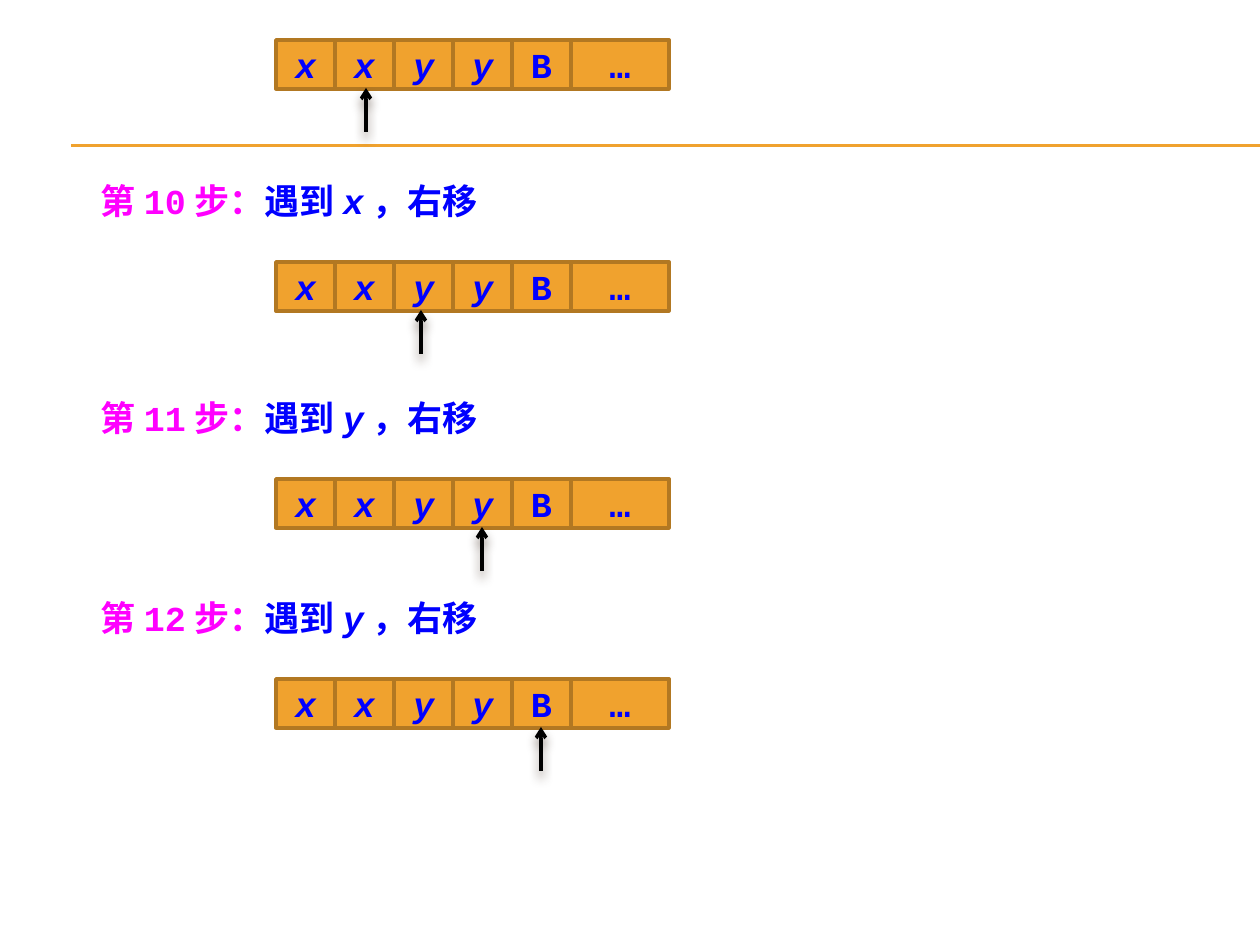
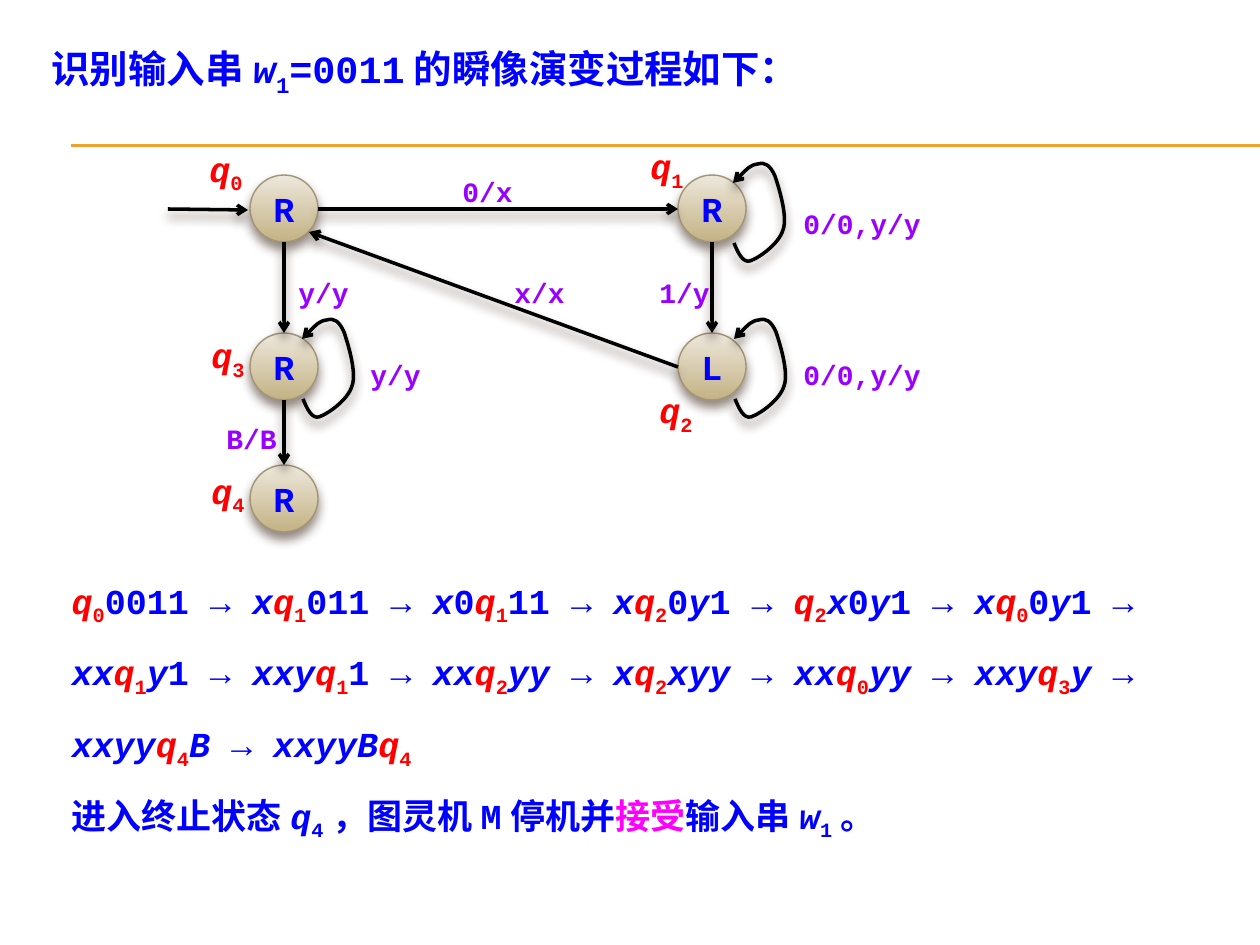
from dataclasses import dataclass
from itertools import groupby

from lxml import etree
from pptx import Presentation
from pptx import util as u
from pptx.dml.color import RGBColor as Rgb
from pptx.enum import shapes as kind, text as txt
from pptx.oxml import ns

PX = 914400 / 126


@dataclass(frozen=True)
class Theme:
    mono: str = "Courier New"
    cjk: str = "Noto Sans CJK SC"
    blue: str = "0000FF"
    red: str = "FF0000"
    pink: str = "FF00FF"
    violet: str = "9900FF"
    black: str = "000000"
    gold: str = "F0A22E"
    brown: str = "B27822"
    light: str = "EDE8DC"
    sand: str = "C4B284"
    edge: str = "A19574"
    shade: str = "4E3B30"
    head: int = 22
    text: int = 20
    small: int = 16


T = Theme()


def put(par, bits, size):
    """Add runs of (text, colour, style): i italic, s subscript, c CJK font."""
    for word, hue, style in bits:
        run = par.add_run()
        run.text = word
        run.font.size, run.font.bold = u.Pt(size), True
        run.font.italic = style == "i"
        run.font.color.rgb = Rgb.from_string(hue)
        run.font.name = T.cjk if style == "c" else T.mono
        props = run._r.get_or_add_rPr()
        etree.SubElement(props, ns.qn("a:ea"), typeface=T.cjk)
        if style == "s":
            props.set("baseline", "-25000")


def ink(shape, hue, width, head=False, shadow=True):
    """Set the line, its arrowhead and the soft shadow below."""
    shape.line.color.rgb = Rgb.from_string(hue)
    shape.line.width = u.Pt(width)
    props = shape.element.spPr
    if head:
        etree.SubElement(props.find(ns.qn("a:ln")), ns.qn("a:tailEnd"), type="arrow")
    glow = etree.SubElement(props, ns.qn("a:effectLst"))
    if shadow:
        drop = etree.SubElement(glow, ns.qn("a:outerShdw"), blurRad="76200",
                                dist="50800", dir="5400000", rotWithShape="0")
        tint = etree.SubElement(drop, ns.qn("a:srgbClr"), val=T.shade)
        etree.SubElement(tint, ns.qn("a:alpha"), val="60000")


prs = Presentation()
prs.slide_width, prs.slide_height = u.Inches(10), u.Inches(7.5)
tapes = prs.slides.add_slide(prs.slide_layouts[6])
graph = prs.slides.add_slide(prs.slide_layouts[1])

# Double rule on the master
for y in (145, 146):
    rule = tapes.shapes.add_connector(
        kind.MSO_CONNECTOR.STRAIGHT, *(u.Emu(round(v * PX)) for v in (71, y, 1260, y)))
    ink(rule, T.gold, 0.75, shadow=False)
    prs.slide_master.shapes.element.append(rule.element)

# Tapes: top edge, place of the head; each later one has a step line above
notes = []
lines = []
CELL, TALL, LEFT = 59, 49, 276
for top, x, step, sign in ((40, 366, "", ""), (262, 421, "10", "x"),
                           (479, 482, "11", "y"), (679, 541, "12", "y")):
    for i, mark in enumerate("xxyyB…"):
        wide = 98 if mark == "…" else CELL
        cell = tapes.shapes.add_shape(
            kind.MSO_SHAPE.RECTANGLE,
            *(u.Emu(round(v * PX)) for v in (LEFT + i * CELL, top, wide, TALL)))
        cell.fill.solid()
        cell.fill.fore_color.rgb = Rgb.from_string(T.gold)
        ink(cell, T.brown, 2, shadow=False)
        cell.text_frame.vertical_anchor = txt.MSO_ANCHOR.MIDDLE
        par = cell.text_frame.paragraphs[0]
        par.alignment = txt.PP_ALIGN.CENTER
        put(par, [(mark, T.blue, "i" if mark in "xy" else "")], T.text)
    lines.append((tapes, x, top + 92, x, top + 48))
    if step:
        notes.append((tapes, 88, top - 89, 571, T.text, [
            (f"第{step}步：", T.pink, ""), ("遇到", T.blue, ""),
            (sign, T.blue, "i"), ("，右移", T.blue, "")]))

# Title
title = graph.shapes.title
title.left, title.top, title.width, title.height = (
    u.Emu(round(v * PX)) for v in (39, 39, 847, 59))
put(title.text_frame.paragraphs[0], [
    ("识别输入串", T.blue, ""), ("w", T.blue, "i"), ("1", T.blue, "s"),
    ("=0011的瞬像演变过程如下：", T.blue, "")], T.head)

# Trace of configurations: states are red, tape letters italic
trace = ("q00011 → xq1011 → x0q111 → xq20y1 → q2x0y1 → xq00y1 → "
         "xxq1y1 → xxyq11 → xxq2yy → xq2xyy → xxq0yy → xxyq3y → "
         "xxyyq4B → xxyyBq4")
looks = []
for last, char in zip(" " + trace, trace):
    if "q" in (last, char):
        looks.append((char, T.red, "i" if char == "q" else "s"))
    else:
        looks.append((char, T.blue, "i" if char in "xyB" else ""))
bits = [("".join(c[0] for c in part), *look)
        for look, part in groupby(looks, key=lambda c: c[1:])]
close = [("进入终止状态", T.blue, ""), ("q", T.blue, "i"), ("4", T.blue, "s"),
         ("，图灵机M停机并", T.blue, ""), ("接受", T.pink, "c"),
         ("输入串", T.blue, ""), ("w", T.blue, "i"), ("1", T.blue, "s"),
         ("。", T.blue, "")]
body = graph.placeholders[1]
body.left, body.top, body.width, body.height = (
    u.Emu(round(v * PX)) for v in (59, 549, 1131, 267))
put(body.text_frame.paragraphs[0], bits, T.text)
put(body.text_frame.add_paragraph(), close, T.text)
for par in body.text_frame.paragraphs:
    par.line_spacing = 1.5
    props = par._p.get_or_add_pPr()
    props.set("marL", "0")
    props.set("indent", "0")
    etree.SubElement(props, ns.qn("a:buNone"))
for frame in (title.text_frame, body.text_frame):
    frame.vertical_anchor = txt.MSO_ANCHOR.TOP
    frame.auto_size, frame.word_wrap = txt.MSO_AUTO_SIZE.NONE, True
    for par in frame.paragraphs:
        par.alignment = txt.PP_ALIGN.LEFT
        par.space_before = u.Pt(0)

# States: move, place of the circle, place of the name
for n, (move, x, y, tagx, tagy) in enumerate((
        ("R", 250, 175, 197, 141), ("R", 678, 175, 638, 138),
        ("L", 678, 333, 647, 382), ("R", 250, 333, 199, 327),
        ("R", 250, 465, 199, 463))):
    disc = graph.shapes.add_shape(
        kind.MSO_SHAPE.OVAL, *(u.Emu(round(v * PX)) for v in (x, y, 68, 67)))
    disc.fill.gradient()
    disc.fill.gradient_angle = 270
    for stop, hue in zip(disc.fill.gradient_stops, (T.light, T.sand)):
        stop.color.rgb = Rgb.from_string(hue)
    ink(disc, T.edge, 0.79)
    disc.text_frame.vertical_anchor = txt.MSO_ANCHOR.MIDDLE
    par = disc.text_frame.paragraphs[0]
    par.alignment = txt.PP_ALIGN.CENTER
    put(par, [(move, T.blue, "")], T.text)
    notes.append((graph, tagx, tagy, 63, T.text,
                  [("q", T.red, "i"), (str(n), T.red, "s")]))

# Straight moves
lines += [(graph, *ends) for ends in (
    (168, 209, 248, 210), (318, 209, 678, 209), (712, 242, 712, 333),
    (678, 367, 309, 232), (284, 242, 284, 333), (284, 400, 284, 465))]
for page, *ends in lines:
    arrow = page.shapes.add_connector(
        kind.MSO_CONNECTOR.STRAIGHT, *(u.Emu(round(v * PX)) for v in ends))
    ink(arrow, T.black, 2, head=True)

# Self loops: the same five cubic curves from each starting point
curve = ((4, 10), (9, 20), (16, 18), (25, 15), (45, 1), (49, -13),
         (54, -26), (45, -55), (41, -67), (36, -78), (31, -81), (24, -79),
         (16, -78), (8, -69), (-1, -60))
for x, y in ((734, 243), (735, 399), (303, 399)):
    pen = graph.shapes.build_freeform(round(x * PX), round(y * PX))
    pen.add_line_segments([((x + a) * PX, (y + b) * PX) for a, b in curve], close=False)
    loop = pen.convert_to_shape()
    legs = list(loop.element.iter(ns.qn("a:lnTo")))
    for first in range(0, len(legs), 3):
        trio = legs[first:first + 3]
        bend = etree.Element(ns.qn("a:cubicBezTo"))
        trio[0].addprevious(bend)
        for leg in trio:
            bend.append(leg[0])
            leg.getparent().remove(leg)
    loop.fill.background()
    ink(loop, T.black, 2, head=True)

# Labels of the moves
for word, x, y, wide in (
        ("0/x", 450, 168, 91), ("y/y", 286, 269, 91), ("x/x", 502, 269, 91),
        ("1/y", 647, 269, 91), ("B/B", 214, 415, 91), ("y/y", 358, 351, 91),
        ("0/0,y/y", 791, 351, 144), ("0/0,y/y", 791, 200, 144)):
    notes.append((graph, x, y, wide, T.small, [(word, T.violet, "")]))

# Text boxes of both slides
for page, x, y, wide, size, bits in notes:
    box = page.shapes.add_textbox(
        *(u.Emu(round(v * PX)) for v in (x, y, wide, 55 if size == T.text else 39)))
    box.text_frame.word_wrap = True
    put(box.text_frame.paragraphs[0], bits, size)

prs.save("out.pptx")
